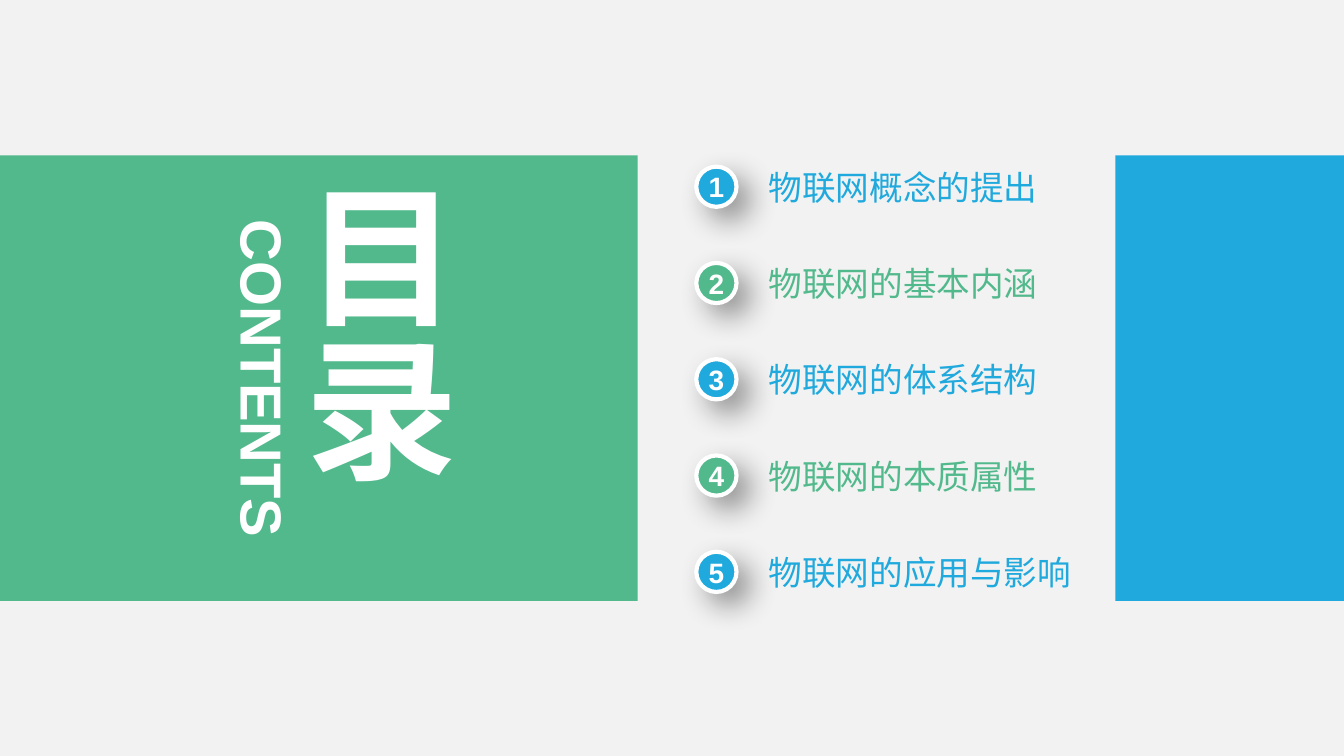
from lxml import etree
from pptx import Presentation
from pptx.dml.color import RGBColor
from pptx.enum.shapes import MSO_SHAPE as Shape
from pptx.enum.text import MSO_ANCHOR as Anchor, PP_ALIGN as Align
from pptx.oxml import parse_xml
from pptx.util import Cm, Pt

GREEN = RGBColor(0x52, 0xB9, 0x8C)
BLUE = RGBColor(0x20, 0xA9, 0xDD)
WHITE = RGBColor(0xFF, 0xFF, 0xFF)
GRAY = RGBColor(0xF2, 0xF2, 0xF2)

TOPICS = [
    "物联网概念的提出",
    "物联网的基本内涵",
    "物联网的体系结构",
    "物联网的本质属性",
    "物联网的应用与影响",
]
PANELS = [(-0.05, 12.1, GREEN), (21.08, 4.36, BLUE)]
TOP, PITCH, SIZE = 3.15, 1.82, 0.76

SHADOW = (
    '<a:effectLst xmlns:a="http://schemas.openxmlformats.org/drawingml/2006/main">'
    '<a:outerShdw blurRad="203200" dist="114300" dir="2700000" algn="tl" rotWithShape="0">'
    '<a:srgbClr val="000000"><a:alpha val="40000"/></a:srgbClr>'
    '</a:outerShdw></a:effectLst>'
)


def add_form(kind, x, y, w, h, fill):
    form = slide.shapes.add_shape(kind, Cm(x), Cm(y), Cm(w), Cm(h))
    form.shadow.inherit = False
    form.fill.solid()
    form.fill.fore_color.rgb = fill
    form.line.fill.background()
    return form


def set_text(form, text, size, color, bold=True, align=Align.CENTER, anchor=Anchor.MIDDLE):
    frame = form.text_frame
    frame.margin_left = frame.margin_right = 0
    frame.margin_top = frame.margin_bottom = 0
    frame.word_wrap = True
    frame.vertical_anchor = anchor
    frame.text = text
    line = frame.paragraphs[0]
    line.alignment = align
    font = line.runs[0].font
    font.name = "Arial"
    font.size = Pt(size)
    font.bold = bold
    font.color.rgb = color


def add_text(x, y, w, h, *args, **style):
    box = slide.shapes.add_textbox(Cm(x), Cm(y), Cm(w), Cm(h))
    set_text(box, *args, **style)
    return box


def add_badge(y, num, color):
    badge = add_form(Shape.OVAL, 13.16, y, SIZE, SIZE, color)
    badge.line.color.rgb = WHITE
    badge.line.width = Pt(2.25)
    props = badge.element.spPr
    props.replace(props[-1], parse_xml(SHADOW))
    set_text(badge, str(num), 15, WHITE)


deck = Presentation()
deck.slide_width, deck.slide_height = Cm(25.4), Cm(14.29)
slide = deck.slides.add_slide(deck.slide_layouts[6])
slide.background.fill.solid()
slide.background.fill.fore_color.rgb = GRAY

for left, width, color in PANELS:
    add_form(Shape.RECTANGLE, left, 2.94, width, 8.42, color)

title = add_text(5.36, 3.4, 3.5, 7.5, "目录", 82, WHITE)
title.text_frame._txBody.bodyPr.set("vert", "eaVert")
label = add_text(1.7, 6.48, 6.53, 1.35, "CONTENTS", 31, WHITE, anchor=Anchor.TOP)
label.rotation = 90

for i, topic in enumerate(TOPICS):
    y = TOP + i * PITCH
    color = GREEN if i % 2 else BLUE
    add_badge(y, i + 1, color)
    add_text(14.53, y, 6.55, SIZE, topic, 18, color, bold=False, align=Align.LEFT)

deck.save("out.pptx")
